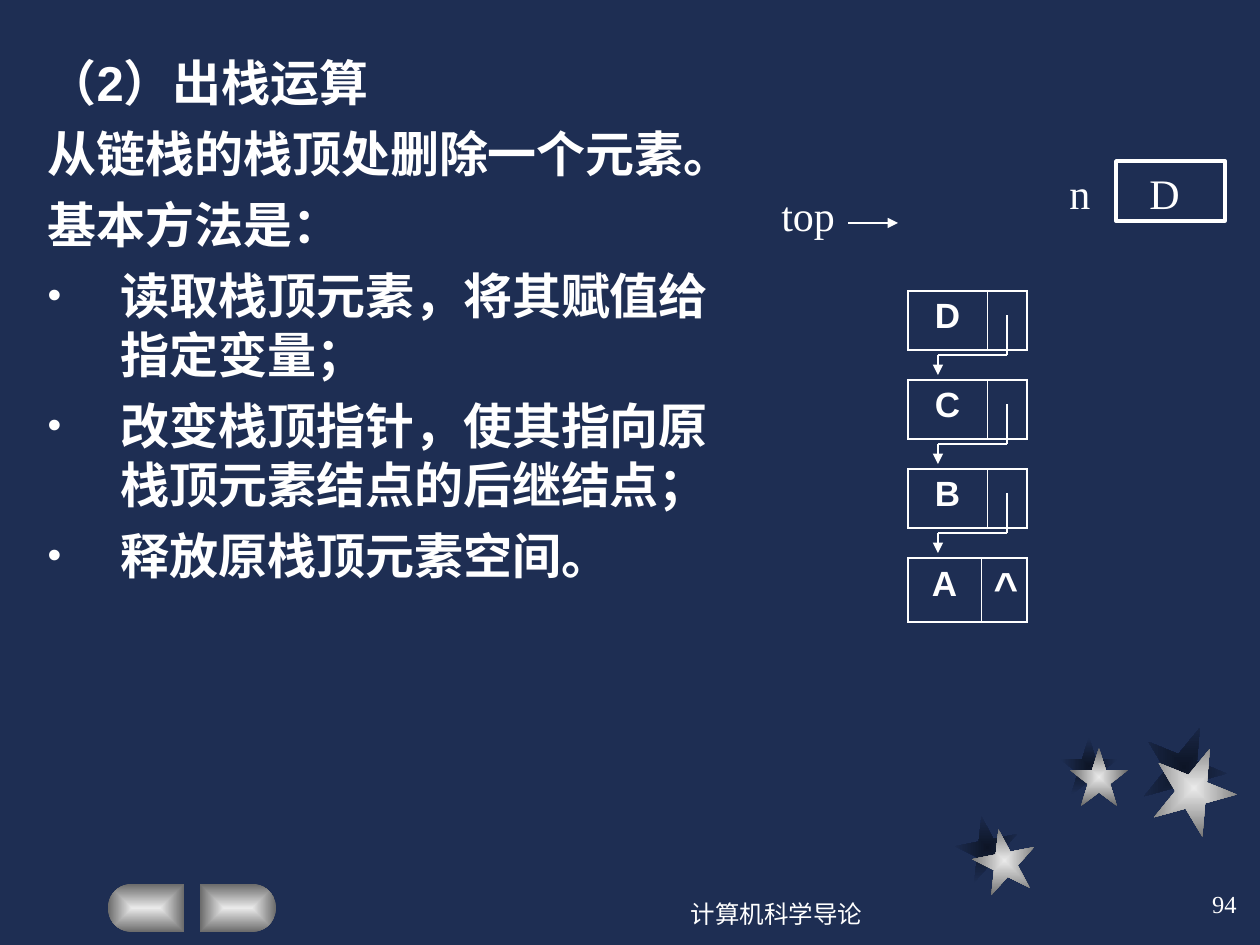
import math
from typing import NamedTuple

from lxml import etree
from pptx import Presentation
from pptx import util as u
from pptx.dml.color import RGBColor
from pptx.enum import shapes, text
from pptx.oxml import ns

NAVY = RGBColor(0x1E, 0x2E, 0x53)
DARK = RGBColor(0x0D, 0x15, 0x26)
WHITE = RGBColor(0xFF, 0xFF, 0xFF)
SILVER = RGBColor(0xEA, 0xEA, 0xEA)
GREY = RGBColor(0x6B, 0x6B, 0x6B)
SERIF = "Times New Roman"
SANS = "Arial"
PPI = 126
INDENT = 73


class Star(NamedTuple):
    x: int
    y: int
    size: int
    turn: int
    inner: RGBColor
    outer: RGBColor


class Node(NamedTuple):
    value: str
    link: str
    cols: tuple[int, int]
    height: int


class Label(NamedTuple):
    words: str
    x: int
    y: int
    w: int
    size: int
    align: text.PP_ALIGN
    anchor: text.MSO_ANCHOR


class Item(NamedTuple):
    words: str
    bullet: bool


LEFT, MID, RIGHT = text.PP_ALIGN.LEFT, text.PP_ALIGN.CENTER, text.PP_ALIGN.RIGHT
TOP, HALF = text.MSO_ANCHOR.TOP, text.MSO_ANCHOR.MIDDLE

STARS = [
    Star(956, 816, 63, 349, DARK, NAVY),
    Star(1060, 737, 58, 0, DARK, NAVY),
    Star(1142, 725, 84, 22, DARK, NAVY),
    Star(973, 829, 63, 349, SILVER, GREY),
    Star(1070, 748, 58, 0, SILVER, GREY),
    Star(1152, 746, 84, 22, SILVER, GREY),
]
NODES = [Node(name, "", (79, 40), 59) for name in "DCB"]
NODES.append(Node("A", "^", (73, 46), 64))
LABELS = [
    Label("top", 769, 183, 90, 24, LEFT, TOP),
    Label("n", 1057, 161, 49, 24, LEFT, TOP),
    Label("D", 1137, 161, 69, 24, LEFT, TOP),
    Label("计算机科学导论", 577, 882, 399, 14, MID, HALF),
    Label("94", 987, 872, 262, 14, RIGHT, HALF),
]
ITEMS = [
    Item("（2）出栈运算", False),
    Item("从链栈的栈顶处删除一个元素。", False),
    Item("基本方法是：", False),
    Item("读取栈顶元素，将其赋值给指定变量；", True),
    Item("改变栈顶指针，使其指向原栈顶元素结点的后继结点；", True),
    Item("释放原栈顶元素空间。", True),
]


def px(n: float) -> u.Emu:
    return u.Emu(round(n * 914400 / PPI))


def add(node, tag: str, **attrs: str):
    return etree.SubElement(node, ns.qn(tag), attrs)


def style(para, size: int, face: str, bold: bool = False) -> None:
    font = para.font
    font.size, font.name, font.bold = u.Pt(size), face, bold
    font.color.rgb = WHITE


def shade(shape, inner: RGBColor, outer: RGBColor) -> None:
    shape.shadow.inherit = False
    shape.line.fill.background()
    shape.fill.gradient()
    for stop, tint, at in zip(shape.fill.gradient_stops, (inner, outer), (0, 1)):
        stop.color.rgb, stop.position = tint, at
    grad = shape._element.spPr.find(ns.qn("a:gradFill"))
    grad.remove(grad.find(ns.qn("a:lin")))
    way = add(grad, "a:path", path="rect")
    add(way, "a:fillToRect", l="50000", t="50000", r="50000", b="50000")


def draw_star(slide, star: Star) -> None:
    shape = slide.shapes.add_shape(
        shapes.MSO_SHAPE.STAR_5_POINT,
        px(star.x), px(star.y), px(star.size), px(star.size))
    shape.rotation = star.turn
    shade(shape, star.inner, star.outer)


def draw_pill(slide, flat: int, side: int) -> None:
    top, rad, body = 884, 24, 52
    turns = [math.pi * i / 20 for i in range(21)]
    arc = [(px(flat + side * (body + rad * math.sin(a))),
            px(top + rad - rad * math.cos(a))) for a in turns]
    form = slide.shapes.build_freeform(px(flat), px(top))
    form.add_line_segments(arc + [(px(flat), px(top + 2 * rad))])
    shade(form.convert_to_shape(), SILVER, GREY)


def draw_line(slide, x1: int, y1: int, x2: int, y2: int, head: bool = False) -> None:
    line = slide.shapes.add_connector(
        shapes.MSO_CONNECTOR.STRAIGHT, px(x1), px(y1), px(x2), px(y2))
    line.line.color.rgb = WHITE
    line.line.width = u.Pt(1)
    if head:
        add(line.line._get_or_add_ln(), "a:tailEnd", type="triangle")
    add(line._element.spPr, "a:effectLst")


def edge(cell, widths: dict[str, float]) -> None:
    props = cell._tc.get_or_add_tcPr()
    for i, (side, width) in enumerate(widths.items()):
        line = add(props, f"a:ln{side}", w=str(u.Pt(width)))
        add(add(line, "a:solidFill"), "a:srgbClr", val=str(WHITE))
        props.insert(i, line)


def draw_node(slide, node: Node, top: int) -> None:
    frame = slide.shapes.add_table(
        1, 2, px(908), px(top), px(sum(node.cols)), px(node.height))
    table = frame.table
    table.first_row = table.horz_banding = False
    table.rows[0].height = px(node.height)
    cells = zip(table.columns, node.cols, table.rows[0].cells,
                (node.value, node.link), (20, 24), ((1.08, 0.45), (0.45, 1.08)))
    for col, wide, cell, words, size, (left, right) in cells:
        col.width = px(wide)
        cell.fill.background()
        edge(cell, {"L": left, "R": right, "T": 1.08, "B": 1.08})
        if words:
            cell.text = words
            para = cell.text_frame.paragraphs[0]
            para.alignment = MID
            style(para, size, SANS, True)


def draw_link(slide, top: int) -> None:
    draw_line(slide, 1007, top + 24, 1007, top + 64)
    draw_line(slide, 938, top + 64, 1007, top + 64)
    draw_line(slide, 938, top + 64, 938, top + 84, True)


def draw_label(slide, label: Label) -> None:
    box = slide.shapes.add_textbox(px(label.x), px(label.y), px(label.w), px(63))
    frame = box.text_frame
    frame.word_wrap = True
    frame.vertical_anchor = label.anchor
    para = frame.paragraphs[0]
    para.text, para.alignment = label.words, label.align
    style(para, label.size, SERIF)


def fill_body(body) -> None:
    body.left, body.top, body.width, body.height = map(px, (35, 46, 714, 615))
    frame = body.text_frame
    frame.auto_size = text.MSO_AUTO_SIZE.NONE
    for i, item in enumerate(ITEMS):
        para = frame.add_paragraph() if i else frame.paragraphs[0]
        para.text = item.words
        props = para._p.get_or_add_pPr()
        props.set("marL", str(px(INDENT)))
        props.set("indent", str(px(-INDENT)))
        if item.bullet:
            add(add(props, "a:buClr"), "a:srgbClr", val=str(WHITE))
            add(props, "a:buSzPct", val="80000")
            add(props, "a:buChar", char="•")
        else:
            add(props, "a:buNone")
        para.space_before = u.Pt(7 if i else 0)
        style(para, 28, SANS, True)


def main() -> None:
    deck = Presentation()
    deck.slide_width, deck.slide_height = px(1260), px(945)
    slide = deck.slides.add_slide(deck.slide_layouts[1])
    slide.background.fill.solid()
    slide.background.fill.fore_color.rgb = NAVY
    title = slide.shapes.title._element
    title.getparent().remove(title)
    for star in STARS:
        draw_star(slide, star)
    draw_pill(slide, 184, -1)
    draw_pill(slide, 200, 1)
    fill_body(slide.placeholders[1])
    tops = [291 + 89 * i for i in range(len(NODES))]
    for node, top in zip(NODES, tops):
        draw_node(slide, node, top)
    for top in tops[:-1]:
        draw_link(slide, top)
    draw_line(slide, 848, 223, 898, 223, True)
    box = slide.shapes.add_shape(
        shapes.MSO_SHAPE.RECTANGLE, px(1116), px(161), px(109), px(60))
    box.shadow.inherit = False
    box.fill.background()
    box.line.color.rgb, box.line.width = WHITE, u.Pt(2)
    for label in LABELS:
        draw_label(slide, label)
    deck.save("out.pptx")


if __name__ == "__main__":
    main()
